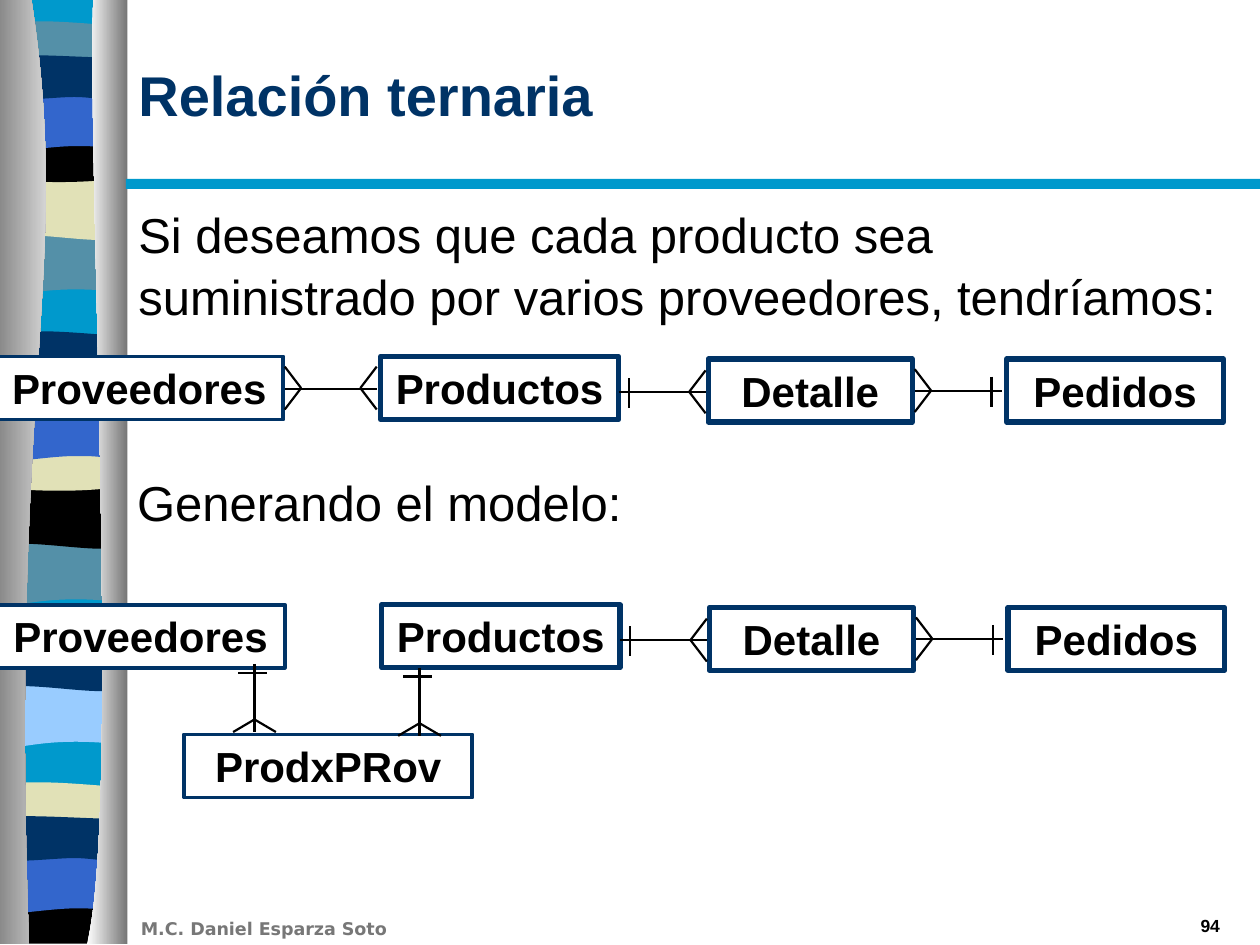
import pptx
import pptx.util
import pptx.dml.color
import pptx.enum.shapes
import pptx.enum.text
import pptx.oxml
import pptx.oxml.ns
import lxml.etree

Inches = pptx.util.Inches
Pt = pptx.util.Pt
RGBColor = pptx.dml.color.RGBColor
Align = pptx.enum.text.PP_ALIGN
Anchor = pptx.enum.text.MSO_ANCHOR
RECT = pptx.enum.shapes.MSO_SHAPE.RECTANGLE
STRAIGHT = pptx.enum.shapes.MSO_CONNECTOR.STRAIGHT

NAVY = RGBColor(0x00, 0x33, 0x66)
CYAN = RGBColor(0x00, 0x99, 0xCC)
TEAL = RGBColor(0x54, 0x90, 0xA8)
SAND = RGBColor(0xE1, 0xE1, 0xB7)
BLUE = RGBColor(0x33, 0x66, 0xCC)
SKY = RGBColor(0x99, 0xCC, 0xFF)
BLACK = RGBColor(0x00, 0x00, 0x00)
WHITE = RGBColor(0xFF, 0xFF, 0xFF)
GREY = RGBColor(0x76, 0x76, 0x76)
SMOKE = RGBColor(0x77, 0x77, 0x77)

deck = pptx.Presentation()
deck.slide_width, deck.slide_height = Inches(10), Inches(7.5)
slide = deck.slides.add_slide(deck.slide_layouts[6])
shapes = slide.shapes


def outline(path, top=0):
    """Closed outline; a pair is a corner, six numbers are a cubic curve."""
    dots = [(Inches(part[i]), Inches(part[i + 1] + top))
            for part in path for i in range(0, len(part), 2)]
    pen = shapes.build_freeform(*dots[0])
    pen.add_line_segments(dots[1:], close=True)
    shape = pen.convert_to_shape()
    shape.shadow.inherit = False
    shape.line.fill.background()
    # Join the three legs of each curve into one cubic segment
    legs = iter(shape._element.xpath(".//a:path/*"))
    for part in path:
        group = [next(legs) for _ in range(len(part) // 2)]
        if len(group) == 3:
            curve = lxml.etree.Element(pptx.oxml.ns.qn("a:cubicBezTo"))
            group[0].addprevious(curve)
            for leg in group:
                curve.append(leg[0])
                leg.getparent().remove(leg)
    return shape


def line(x1, y1, x2, y2):
    rule = shapes.add_connector(STRAIGHT, Inches(x1), Inches(y1), Inches(x2), Inches(y2))
    rule.line.color.rgb = BLACK
    rule.line.width = Pt(1.25)
    rule._element.spPr.append(pptx.oxml.parse_xml(
        '<a:effectLst xmlns:a="http://schemas.openxmlformats.org/drawingml/2006/main"/>'))


# Wavy ribbon: band outlines, measured from the top of each band
L, R = -0.05, 0.98
SLAB = [(R, 0), (R, 7.47), (L, 7.47), (L, 0)]
TIDE = [(R, 0), (R, 0.47), (0.27, 0.39, 0.13, 0.55, L, 0.47), (L, 0)]
SWELL = [(R, 0), (R, 0.47), (0.81, 0.55, 0.27, 0.41, L, 0.47), (L, 0)]
CREST = [(R, 0.05), (R, 0.29), (0.81, 0.34, 0.13, 0.34, L, 0.29), (L, 0.05),
         (0.02, 0, 0.18, 0.01, 0.35, 0.01), (0.52, 0.01, 0.85, 0.04, R, 0.05)]
BOWL = [(R, 0), (R, 0.32), (0.81, 0.38, 0.13, 0.38, L, 0.32), (L, 0),
        (0.59, 0.05, 0.77, 0, R, 0)]
ARCH = [(R, 0), (R, 0.47), (0.82, 0.42, 0.76, 0.42, 0.59, 0.42),
        (0.42, 0.42, 0.11, 0.47, L, 0.47), (L, 0)]
FLAG = [(R, 0.05), (R, 0.36), (0.92, 0.41, 0.76, 0.36, 0.59, 0.36),
        (0.42, 0.36, 0.06, 0.41, L, 0.36), (L, 0.05), (0.1, 0, 0.65, 0.05, R, 0.05)]
FOOT = [(R, 0), (R, 0.37), (L, 0.37), (L, 0), (0.58, 0.05, 0.76, 0, R, 0)]

for path, top, hue in [
    (SLAB, 0, CYAN),
    (TIDE, 1.85, TEAL), (SWELL, 1.41, SAND), (CREST, 0.16, TEAL),
    (BOWL, 1.08, BLACK), (ARCH, 0.74, BLUE), (FLAG, 0.41, NAVY),
    (TIDE, 4.31, TEAL), (SWELL, 3.86, BLACK), (CREST, 2.62, NAVY),
    (BOWL, 3.53, SAND), (ARCH, 3.2, BLUE), (FLAG, 2.86, SKY),
    (TIDE, 5.44, SKY), (SWELL, 4.99, NAVY), (CREST, 6.2, SAND),
    (FOOT, 7.12, BLACK), (ARCH, 6.79, BLUE), (FLAG, 6.45, NAVY),
]:
    band = outline(path, top)
    band.fill.solid()
    band.fill.fore_color.rgb = hue

# Shaded columns on both sides of the ribbon
for path, hues in [
    ([(0.25, 0), (0.58, 2.16, 0.07, 2.96, 0.23, 7.49), (-0.1, 7.49), (-0.1, 0)],
     (GREY, WHITE)),
    ([(0.74, 0), (0.69, 1.25, 0.96, 6.46, 0.69, 7.49), (1.01, 7.49), (1.01, 0)],
     (WHITE, GREY)),
]:
    side = outline(path)
    side.fill.gradient()
    side.fill.gradient_angle = 0
    for stop, hue in zip(side.fill.gradient_stops, hues):
        stop.color.rgb = hue

# Bar below the title
bar = shapes.add_shape(RECT, Inches(1), Inches(1.42), Inches(8.83), Inches(0.08))
bar.width = deck.slide_width - bar.left
bar.shadow.inherit = False
bar.fill.solid()
bar.fill.fore_color.rgb = CYAN
bar.line.fill.background()

# Title, body text, footer and page number
for words, x, y, w, h, size, bold, hue, face, align, anchor, pitch in [
    ("Relación ternaria", 1, 0.12, 8.78, 1.25, 32, True, NAVY, "Arial",
     Align.LEFT, Anchor.MIDDLE, 1),
    ("Si deseamos que cada producto sea suministrado por varios proveedores, tendríamos:",
     1, 1.55, 8.78, 1.42, 28, False, BLACK, "Arial", Align.LEFT, Anchor.TOP, 1.05),
    ("Generando el modelo:", 0.99, 3.68, 8.78, 0.76, 28, False, BLACK, "Arial",
     Align.LEFT, Anchor.TOP, 1.05),
    ("M.C. Daniel Esparza Soto", 1.02, 7.24, 2.83, 0.27, 10, True, SMOKE, "DejaVu Sans",
     Align.LEFT, Anchor.TOP, 1),
    ("94", 7.7, 7.21, 2.08, 0.26, 10, True, BLACK, "Arial", Align.RIGHT, Anchor.TOP, 1),
]:
    frame = shapes.add_textbox(Inches(x), Inches(y), Inches(w), Inches(h)).text_frame
    frame.word_wrap = True
    frame.vertical_anchor = anchor
    para = frame.paragraphs[0]
    para.text = words
    para.alignment = align
    para.line_spacing = pitch
    para.font.name, para.font.size, para.font.bold = face, Pt(size), bold
    para.font.color.rgb = hue

# Entity boxes: the second row repeats the first, lower down
ROWS = [(0, 0), (0.01, 1.97)]
boxes = [("ProdxPRov", 1.46, 5.83, 2.29, 2.25)]
for dx, dy in ROWS:
    boxes += [(name, x + dx, y + dy, w, edge) for name, x, y, w, edge in [
        ("Productos", 3.02, 2.83, 1.89, 3),
        ("Proveedores", -0.04, 2.83, 2.29, 2.25),
        ("Pedidos", 7.99, 2.85, 1.72, 3),
        ("Detalle", 5.62, 2.85, 1.62, 3),
    ]]
for name, x, y, w, edge in boxes:
    box = shapes.add_shape(RECT, Inches(x), Inches(y), Inches(w), Inches(0.5))
    box.shadow.inherit = False
    box.fill.solid()
    box.fill.fore_color.rgb = WHITE
    box.line.color.rgb = NAVY
    box.line.width = Pt(edge)
    box.text_frame.vertical_anchor = Anchor.TOP
    para = box.text_frame.paragraphs[0]
    para.text = name
    para.alignment = Align.CENTER
    para.font.name, para.font.size, para.font.bold = "Arial", Pt(24), True
    para.font.color.rgb = BLACK

# One-to-many links: a tick at the one end, a crow's foot at the many end
feet = [(2.26, 3.08, -1), (2.99, 3.08, 1)]
for dx, dy in ROWS:
    for one, many, y, way in [(4.91, 5.6, 3.11, 1), (7.95, 7.26, 3.1, -1)]:
        one, many, y = one + dx, many + dx, y + dy
        line(one, y, many, y)
        line(one + 0.08 * way, y - 0.11, one + 0.08 * way, y + 0.13)
        feet.append((many, y, way))

# Many-to-many link and all sideways crow's feet
line(2.26, 3.09, 2.99, 3.09)
for x, y, way in feet:
    for rise in (-0.17, 0.17):
        line(x - 0.13 * way, y, x, y + rise)

# Upright links down to the joining entity
for x, y in [(2.02, 5.27), (3.33, 5.3)]:
    line(x, y, x, y + 0.54)
    line(x - 0.13, y + 0.07, x + 0.1, y + 0.07)
    for reach in (-0.17, 0.17):
        line(x, y + 0.44, x + reach, y + 0.54)

deck.save("out.pptx")
